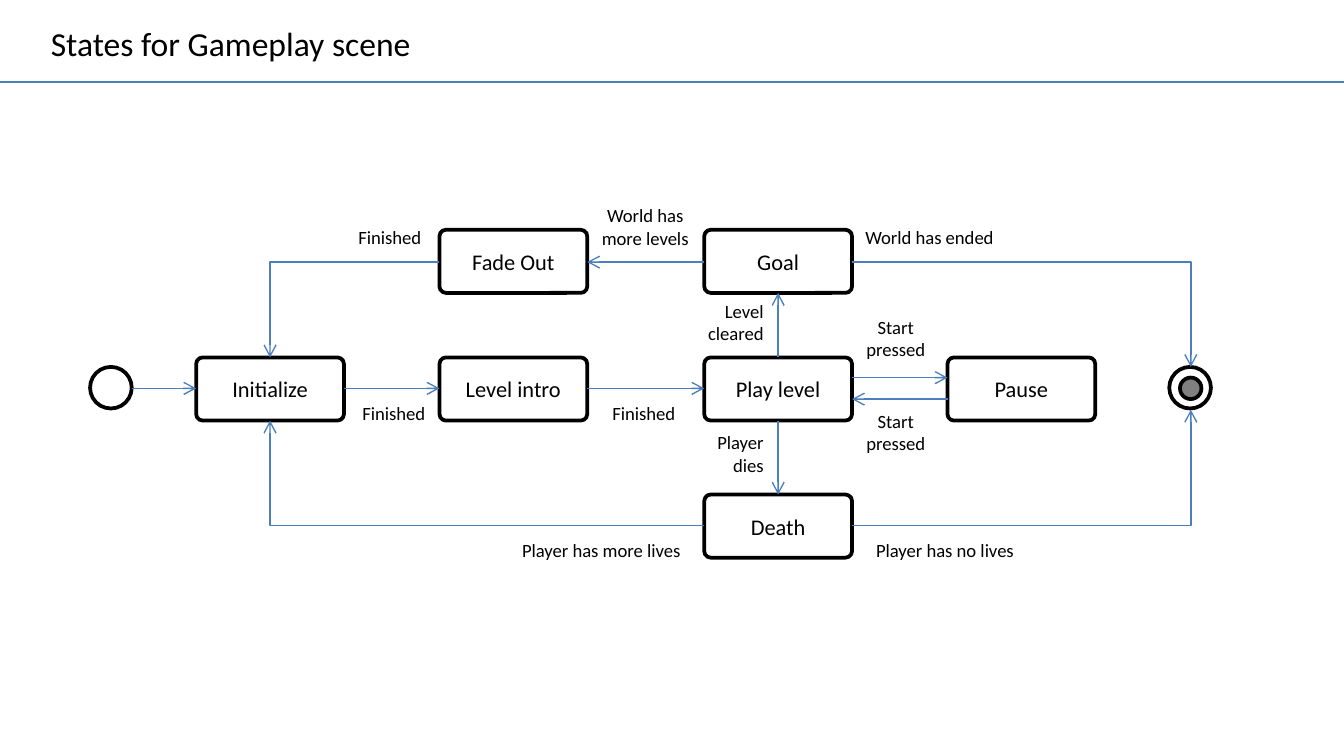
import pptx
import pptx.util
import pptx.dml.color
import pptx.enum.shapes
import pptx.enum.text
import pptx.oxml
import pptx.oxml.ns
from pptx.util import Inches

KIND = pptx.enum.shapes.MSO_SHAPE
LINK = pptx.enum.shapes.MSO_CONNECTOR
ALIGN = pptx.enum.text.PP_ALIGN
SIDES = {"l": ALIGN.LEFT, "c": ALIGN.CENTER, "r": ALIGN.RIGHT}


def paint(target, color):
    if hasattr(target, "solid"):
        target.solid()
        target = target.fore_color
    else:
        target = target.color
    target.rgb = pptx.dml.color.RGBColor.from_string(color)


def write(frame, text, size, side):
    frame.text = text
    for par in frame.paragraphs:
        par.alignment = SIDES[side]
        for run in par.runs:
            run.font.name = "Calibri"
            run.font.size = pptx.util.Pt(size)
            paint(run.font, "000000")


# Widescreen page, 16 to 9
deck = pptx.Presentation()
deck.slide_width = Inches(10)
deck.slide_height = Inches(10) * 9 // 16
slide = deck.slides.add_slide(deck.slide_layouts[6])

# Grid of states
wide, high = 1.1, 0.47
cols = [1.46, 3.27, 5.24, 7.05]
rows = [1.71, 2.66, 3.68]
up, mid, low = 1.95, 2.89, 3.91
first, play, last = 2.01, 5.79, 8.86

states = [
    ("Initialize", 0, 1), ("Level intro", 1, 1), ("Play level", 2, 1),
    ("Pause", 3, 1), ("Fade Out", 1, 0), ("Goal", 2, 0), ("Death", 2, 2),
]
nodes = []
for name, col, row in states:
    box = slide.shapes.add_shape(
        KIND.ROUNDED_RECTANGLE, Inches(cols[col]), Inches(rows[row]),
        Inches(wide), Inches(high))
    box.adjustments[0] = 0.104
    write(box.text_frame, name, 12, "c")
    box.text_frame.vertical_anchor = pptx.enum.text.MSO_ANCHOR.MIDDLE
    nodes.append((box, "FFFFFF"))

# Start and end circles
final = slide.shapes.add_group_shape()
for home, x, y, size, color in [
    (slide, 0.67, 2.73, 0.31, "FFFFFF"),
    (final, 8.7, 2.73, 0.31, "FFFFFF"),
    (final, 8.78, 2.81, 0.16, "808080"),
]:
    dot = home.shapes.add_shape(
        KIND.OVAL, Inches(x), Inches(y), Inches(size), Inches(size))
    nodes.append((dot, color))

for node, color in nodes:
    node.shadow.inherit = False
    paint(node.fill, color)
    paint(node.line, "000000")
    node.line.width = pptx.util.Pt(2)

# Title rule and transitions: start, end, shape, arrow
links = [
    (0, 0.61, 10, 0.61, "line", False),
    (0.98, mid, 1.46, mid, "line", True),
    (2.56, mid, 3.27, mid, "line", True),
    (4.37, mid, 5.24, mid, "line", True),
    (6.34, 2.81, 7.05, 2.81, "line", True),
    (7.05, 2.97, 6.34, 2.97, "line", True),
    (play, 2.66, play, 2.18, "line", True),
    (play, 3.13, play, 3.68, "line", True),
    (5.24, up, 4.37, up, "line", True),
    (3.27, up, first, 2.66, "bentConnector2", True),
    (5.24, low, first, 3.13, "bentConnector2", True),
    (6.34, up, last, 2.73, "bentConnector2", True),
    (6.34, low, last, 3.05, "bentConnector2", True),
]
for x1, y1, x2, y2, form, arrow in links:
    link = slide.shapes.add_connector(
        LINK.STRAIGHT, Inches(x1), Inches(y1), Inches(x2), Inches(y2))
    paint(link.line, "4B7EBC")
    link.line.width = pptx.util.Pt(0.75)
    props = link._element.spPr
    props.find(pptx.oxml.ns.qn("a:prstGeom")).set("prst", form)
    if arrow:
        tail = pptx.oxml.parse_xml(
            '<a:tailEnd %s type="arrow"/>' % pptx.oxml.ns.nsdecls("a"))
        props.find(pptx.oxml.ns.qn("a:ln")).append(tail)
    props.append(pptx.oxml.parse_xml(
        "<a:effectLst %s/>" % pptx.oxml.ns.nsdecls("a")))

# Title and labels: text, left, top, width, height, size, side, wrap
labels = [
    ("States for Gameplay scene", 0.28, 0.12, 2.91, 0.4, 18, "l", True),
    ("Finished", 2.56, 1.63, 0.68, 0.27, 10, "c", False),
    ("Finished", 2.59, 2.94, 0.68, 0.27, 10, "c", False),
    ("Finished", 4.45, 2.94, 0.68, 0.27, 10, "c", False),
    ("World has more levels", 4.29, 1.47, 1.02, 0.44, 10, "c", True),
    ("World has ended", 6.34, 1.63, 1.26, 0.27, 10, "l", True),
    ("Level\ncleared", 5.16, 2.18, 0.62, 0.44, 10, "r", False),
    ("Player dies", 5.16, 3.16, 0.62, 0.44, 10, "r", True),
    ("Start\npressed", 6.34, 2.3, 0.65, 0.44, 10, "c", False),
    ("Start\npressed", 6.34, 3, 0.65, 0.44, 10, "c", False),
    ("Player has more lives", 3.74, 3.96, 1.42, 0.27, 10, "r", True),
    ("Player has no lives", 6.42, 3.96, 1.5, 0.27, 10, "l", True),
]
for text, x, y, w, h, size, side, wrap in labels:
    label = slide.shapes.add_textbox(Inches(x), Inches(y), Inches(w), Inches(h))
    frame = label.text_frame
    write(frame, text, size, side)
    frame.word_wrap = wrap
    frame.auto_size = pptx.enum.text.MSO_AUTO_SIZE.SHAPE_TO_FIT_TEXT

deck.save("out.pptx")
